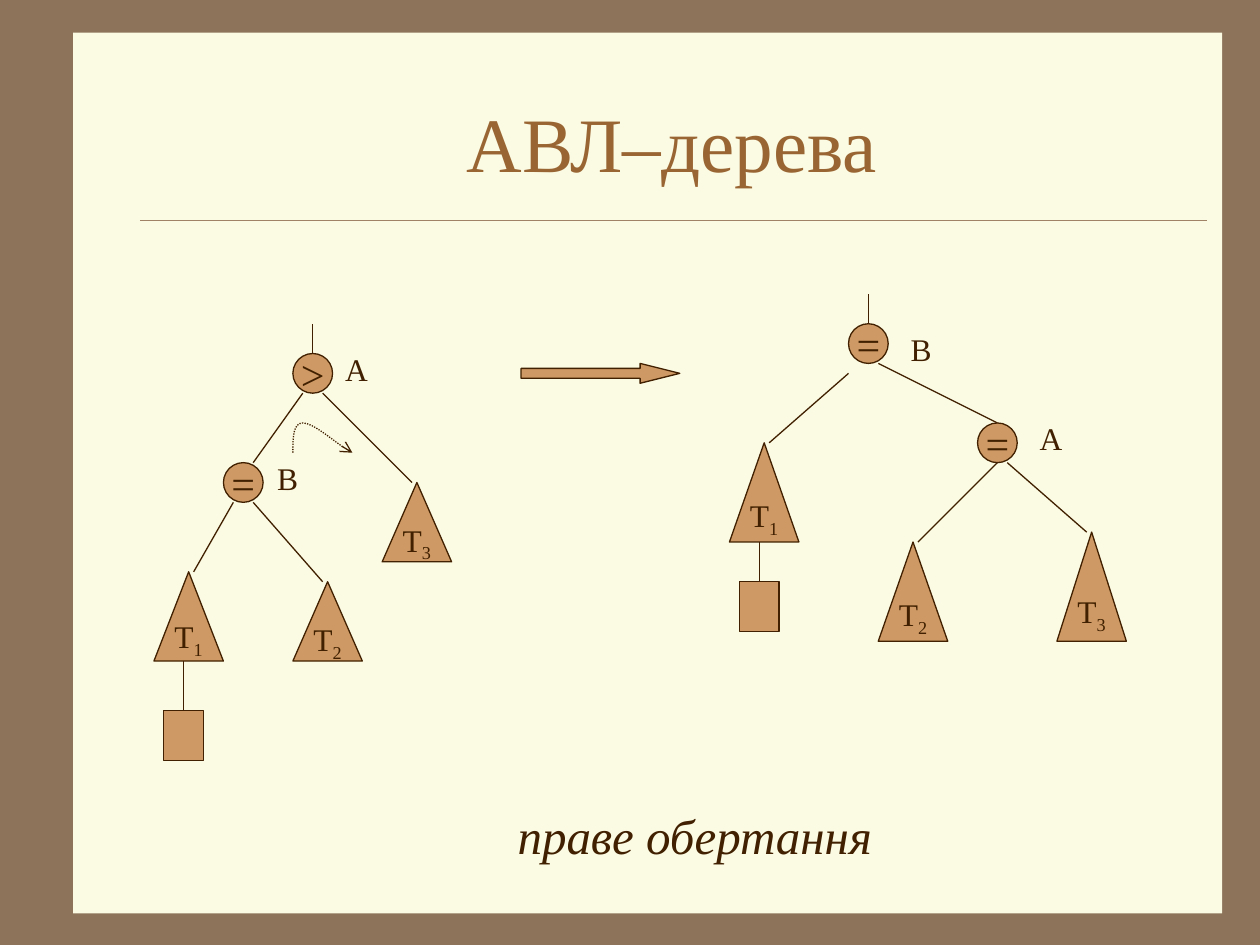
from lxml import etree
from pptx import Presentation
from pptx import util as u
from pptx.dml.color import RGBColor
from pptx.enum import dml, shapes, text
from pptx.oxml.ns import qn

FONT = "Times New Roman"
BROWN, PANEL, RULE = "8C735A", "FBFAE2", "A08366"
TITLE, INK, NODE = "996633", "402000", "CE9964"
GRID = 5.67  # drawing grid step, in points
LEFT, TOP = 88, 168


def color(value):
    return RGBColor.from_string(value)


def col(x):
    return u.Pt(LEFT + GRID * x)


def row(y):
    return u.Pt(TOP + GRID * y)


def span(cells):
    return u.Pt(GRID * cells)


def set_text(shape, content, size=18, ink=INK, italic=False, subscript="",
             anchor=text.MSO_ANCHOR.MIDDLE, wrap=False):
    frame = shape.text_frame
    frame.word_wrap = wrap
    frame.vertical_anchor = anchor
    paragraph = frame.paragraphs[0]
    paragraph.alignment = text.PP_ALIGN.CENTER
    for part, baseline in ((content, None), (subscript, "-25000")):
        if not part:
            continue
        run = paragraph.add_run()
        run.text = part
        run.font.name = FONT
        run.font.size = u.Pt(size)
        run.font.italic = italic
        run.font.color.rgb = color(ink)
        if baseline:
            run._r.get_or_add_rPr().set("baseline", baseline)


def add_text(slide, box, content, **style):
    shape = slide.shapes.add_textbox(*box)
    set_text(shape, content, wrap=True, **style)


def add_solid(slide, kind, box, fill=NODE, outline=INK):
    shape = slide.shapes.add_shape(kind, *box)
    shape.shadow.inherit = False
    shape.fill.solid()
    shape.fill.fore_color.rgb = color(fill)
    if outline:
        shape.line.color.rgb = color(outline)
        shape.line.width = u.Pt(0.75)
    else:
        shape.line.fill.background()
    return shape


def add_line(slide, start, end, ink=INK, width=0.75):
    line = slide.shapes.add_connector(shapes.MSO_CONNECTOR.STRAIGHT, *start, *end)
    line.line.color.rgb = color(ink)
    line.line.width = u.Pt(width)
    etree.SubElement(line._element.spPr, qn("a:effectLst"))
    return line


def add_edge(slide, x1, y1, x2, y2):
    return add_line(slide, (col(x1), row(y1)), (col(x2), row(y2)))


def add_node(slide, x, y, sign):
    node = add_solid(slide, shapes.MSO_SHAPE.OVAL, (col(x), row(y), span(4), span(4)))
    set_text(node, sign, size=24)


def add_subtree(slide, x, y, height, number):
    triangle = add_solid(slide, shapes.MSO_SHAPE.ISOSCELES_TRIANGLE,
                         (col(x), row(y), span(7), span(height)))
    set_text(triangle, "T", subscript=number)


def add_new_leaf(slide, x, y, stem):
    """Add a square hanging by a stem from the subtree above it."""
    leaf = add_solid(slide, shapes.MSO_SHAPE.RECTANGLE,
                     (col(x), row(y), span(4), span(5)))
    add_edge(slide, x + 2, y - stem, x + 2, y).end_connect(leaf, 0)


def add_label(slide, x, y, letter, width):
    add_text(slide, (col(x), row(y), u.Pt(width), u.Pt(29)), letter,
             anchor=text.MSO_ANCHOR.TOP)


def add_rotation_curve(slide, start, curves):
    """Add a dotted curve with an arrowhead; each curve is two controls and an end."""
    def place(point):
        return col(point[0]), row(point[1])

    builder = slide.shapes.build_freeform(*place(start))
    builder.add_line_segments([place(curve[-1]) for curve in curves], close=False)
    shape = builder.convert_to_shape()
    shape.shadow.inherit = False
    shape.fill.background()
    shape.line.color.rgb = color(INK)
    shape.line.width = u.Pt(0.75)
    shape.line.dash_style = dml.MSO_LINE.ROUND_DOT
    etree.SubElement(shape.line._get_or_add_ln(), qn("a:tailEnd"), type="arrow")
    segments = list(shape._element.iter(qn("a:lnTo")))
    for segment, curve in zip(segments, curves):
        bezier = etree.Element(qn("a:cubicBezTo"))
        for x, y in map(place, curve):
            etree.SubElement(bezier, qn("a:pt"),
                             x=str(x - shape.left), y=str(y - shape.top))
        segment.getparent().replace(segment, bezier)


def add_frame(slide):
    slide.background.fill.solid()
    slide.background.fill.fore_color.rgb = color(BROWN)
    add_solid(slide, shapes.MSO_SHAPE.RECTANGLE,
              [u.Pt(v) for v in (41.8, 18.7, 656.6, 503.3)], PANEL, None)
    add_line(slide, (u.Pt(80), u.Pt(126)), (u.Pt(690), u.Pt(126)), RULE, 0.25)
    add_text(slide, [u.Pt(v) for v in (78, 36, 612, 90)], "АВЛ–дерева",
             size=44, ink=TITLE)


def add_tree(slide, nodes, subtrees, leaf, edges, labels):
    for node in nodes:
        add_node(slide, *node)
    for subtree in subtrees:
        add_subtree(slide, *subtree)
    add_new_leaf(slide, *leaf)
    for edge in edges:
        add_edge(slide, *edge)
    for label in labels:
        add_label(slide, *label)


def main():
    presentation = Presentation()
    presentation.slide_width, presentation.slide_height = u.Pt(720), u.Pt(540)
    slide = presentation.slides.add_slide(presentation.slide_layouts[6])
    add_frame(slide)
    add_tree(
        slide,
        nodes=[(14, 6, ">"), (7, 17, "=")],
        subtrees=[(0, 28, 9, "1"), (14, 29, 8, "2"), (23, 19, 8, "3")],
        leaf=(1, 42, 5),
        edges=[(16, 6, 16, 3), (10, 17, 15, 10), (17, 10, 26, 19),
               (8, 21, 4, 28), (10, 21, 17, 29)],
        labels=[(18, 5, "A", 23), (11, 16, "B", 28)],
    )
    add_rotation_curve(slide, (14, 16), [
        ((14, 14.5), (14, 13), (15, 13)),
        ((16, 13), (19.2, 15.7), (20, 16)),
    ])
    arrow = add_solid(slide, shapes.MSO_SHAPE.RIGHT_ARROW,
                      (col(37), row(7), span(16), span(2)))
    arrow.adjustments[1] = 2
    add_tree(
        slide,
        nodes=[(70, 3, "="), (83, 13, "=")],
        subtrees=[(58, 15, 10, "1"), (73, 25, 10, "2"), (91, 24, 11, "3")],
        leaf=(59, 29, 4),
        edges=[(72, 3, 72, 0), (70, 8, 62, 15), (73, 7, 85, 13),
               (85, 17, 77, 25), (86, 17, 94, 24)],
        labels=[(75, 3, "B", 23), (88, 12, "A", 24.5)],
    )
    add_text(slide, [u.Pt(v) for v in (275, 457, 244, 41)], "праве обертання",
             size=28, italic=True, anchor=text.MSO_ANCHOR.TOP)
    presentation.save("out.pptx")


if __name__ == "__main__":
    main()
